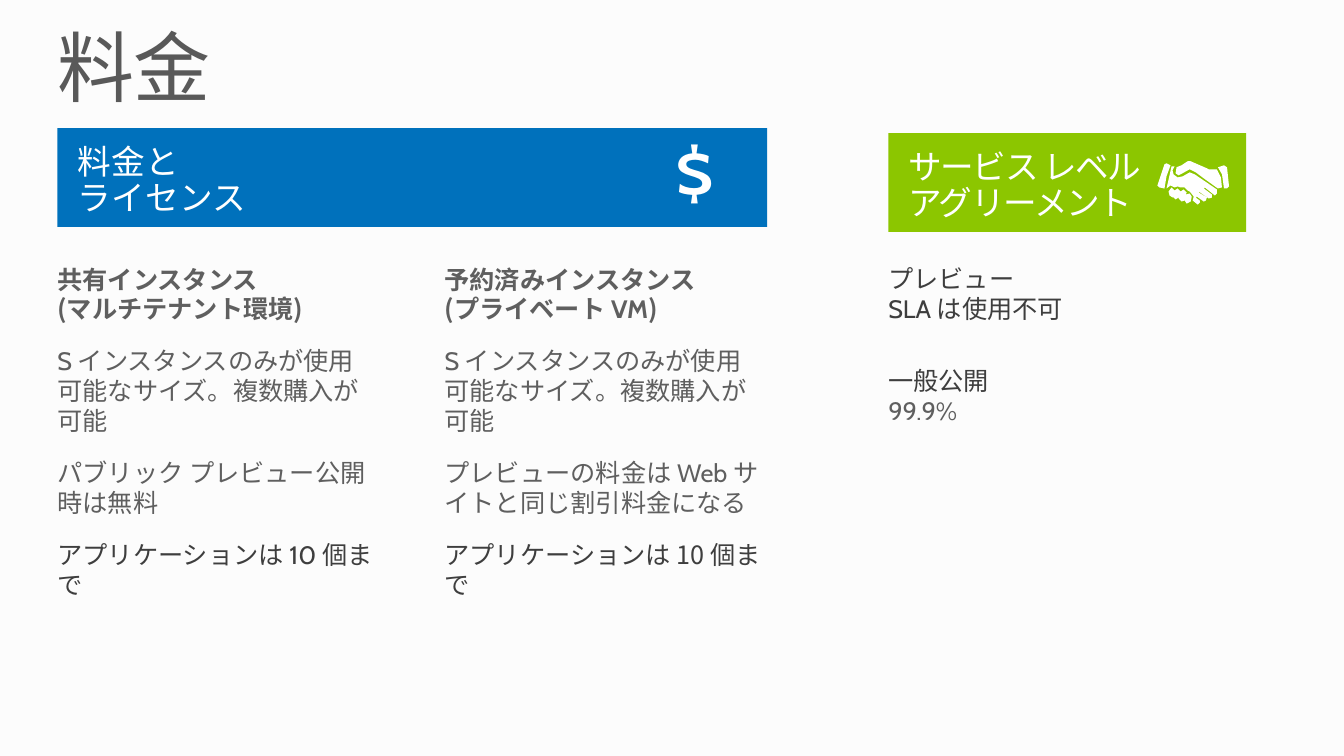
"""Build the pricing and service level slide."""
from dataclasses import dataclass

from lxml import etree
from pptx import Presentation
from pptx.dml.color import RGBColor
from pptx.enum.shapes import MSO_SHAPE
from pptx.enum.text import MSO_ANCHOR, PP_ALIGN
from pptx.oxml.ns import qn
from pptx.util import Emu, Pt

RECTANGLE = MSO_SHAPE.RECTANGLE
LEFT, CENTER = PP_ALIGN.LEFT, PP_ALIGN.CENTER
TOP, BOTTOM = MSO_ANCHOR.TOP, MSO_ANCHOR.BOTTOM
PX = 9144
LATIN, JAPANESE = "Cabin", "Noto Sans CJK JP"
COLORS = {
    "page": "FCFCFC", "title": "595959", "blue": "0071BC", "green": "8CC600",
    "white": "FFFFFF", "dark": "3E3E3E", "grey": "5F5F5F",
}


@dataclass(frozen=True)
class Piece:
    text: str
    color: str = "grey"
    font: str = JAPANESE
    bold: bool = False
    size: int = 18
    tracking: float = 0


@dataclass(frozen=True)
class Para:
    pieces: tuple[Piece, ...]
    before: float = 3.6
    after: float = 12
    leading: float | Pt = Pt(21.4)
    align: int = LEFT


@dataclass(frozen=True)
class Block:
    box: tuple[int, int, int, int]
    paras: tuple[Para, ...]


@dataclass(frozen=True)
class Banner:
    box: tuple[int, int, int, int]
    fill: str
    label: str
    tracking: float


SIZES = Para((Piece("S ", font=LATIN),
              Piece("インスタンスのみが使用可能なサイズ。複数購入が可能")))

BANNERS = (
    Banner((57, 127, 704, 98), "blue", "料金と\nライセンス", 0.3),
    Banner((881, 132, 355, 98), "green", "サービス レベル\nアグリーメント", -1),
)

BLOCKS = (
    Block((57, 25, 1219, 83), (
        Para((Piece("料金", "title", size=55, tracking=-1),), after=0, leading=Pt(62)),
    )),
    Block((669, 135, 41, 82), (
        Para((Piece("$", "white", LATIN, size=54),), after=0, leading=0.9, align=CENTER),
    )),
    Block((881, 262, 355, 163), (
        Para((Piece("プレビュー\n", "dark"), Piece("SLA ", "dark", LATIN),
              Piece("は使用不可", "dark"))),
        Para((Piece("一般公開\n", "dark"), Piece("99.9%", font=LATIN)), before=18),
    )),
    Block((57, 262, 314, 341), (
        Para((Piece("共有インスタンス\n(マルチテナント環境)", bold=True),)),
        SIZES,
        Para((Piece("パブリック プレビュー公開時は無料"),)),
        Para((Piece("アプリケーションは", "dark"), Piece(" 10 ", "dark", LATIN),
              Piece("個まで", "dark"))),
    )),
    Block((441, 262, 314, 341), (
        Para((Piece("予約済みインスタンス\n(プライベート ", bold=True),
              Piece("VM", font=LATIN, bold=True), Piece(")", bold=True))),
        SIZES,
        Para((Piece("プレビューの料金は"), Piece(" Web ", font=LATIN),
              Piece("サイトと同じ割引料金になる"))),
        Para((Piece("アプリケーションは 10 個まで", "dark"),)),
    )),
)

HANDSHAKE = (
    ((1207, 188), (1185, 173), (1180, 171), (1173, 175), (1168, 176), (1164, 173),
     (1163, 169), (1165, 165), (1162, 165), (1157, 187), (1161, 184), (1165, 186),
     (1168, 185), (1171, 186), (1175, 186), (1178, 189), (1180, 190), (1184, 195),
     (1183, 199), (1188, 203), (1190, 201), (1190, 199), (1186, 196), (1187, 195),
     (1194, 200), (1196, 199), (1197, 196), (1189, 191), (1189, 190), (1199, 197),
     (1202, 196), (1202, 193), (1194, 187), (1195, 186), (1205, 194), (1207, 192)),
    ((1199, 168), (1197, 167), (1181, 160), (1178, 160), (1172, 164), (1167, 166),
     (1166, 172), (1169, 174), (1171, 173), (1180, 168), (1186, 171), (1194, 177),
     (1208, 187), (1212, 186), (1211, 176), (1207, 168)),
    ((1180, 192), (1176, 193), (1177, 191), (1174, 188), (1171, 190), (1168, 187),
     (1165, 189), (1162, 186), (1159, 190), (1160, 194), (1163, 196), (1164, 196),
     (1166, 198), (1169, 196), (1169, 197), (1172, 200), (1175, 199), (1177, 202),
     (1181, 200), (1182, 195)),
    ((1219, 185), (1217, 166), (1214, 164), (1208, 166), (1212, 173), (1214, 187),
     (1217, 187)),
    ((1161, 164), (1157, 162), (1155, 163), (1148, 184), (1150, 186), (1155, 187),
     (1157, 175)),
)


def rgb(name: str) -> RGBColor:
    return RGBColor.from_string(COLORS[name])


def paint(shape, fill: str) -> None:
    shape.shadow.inherit = False
    shape.fill.solid()
    shape.fill.fore_color.rgb = rgb(fill)
    shape.line.fill.background()


def add_piece(paragraph, piece: Piece) -> None:
    for index, line in enumerate(piece.text.split("\n")):
        if index:
            paragraph.add_line_break()
        if not line:
            continue
        run = paragraph.add_run()
        run.text = line
        run.font.size = Pt(piece.size)
        run.font.bold = piece.bold
        run.font.color.rgb = rgb(piece.color)
        run.font.name = piece.font
        properties = run.font._element
        etree.SubElement(properties, qn("a:ea")).set("typeface", JAPANESE)
        if piece.tracking:
            properties.set("spc", str(round(piece.tracking * 100)))


def write(frame, paras: tuple[Para, ...], margins: tuple[int, int, int, int],
          anchor: int) -> None:
    frame.word_wrap = True
    frame.vertical_anchor = anchor
    (frame.margin_left, frame.margin_top,
     frame.margin_right, frame.margin_bottom) = (Emu(side * PX) for side in margins)
    for index, para in enumerate(paras):
        paragraph = frame.add_paragraph() if index else frame.paragraphs[0]
        paragraph.alignment = para.align
        paragraph.line_spacing = para.leading
        paragraph.space_before = Pt(para.before if index else 0)
        paragraph.space_after = Pt(para.after)
        for piece in para.pieces:
            add_piece(paragraph, piece)


def add_banner(slide, banner: Banner) -> None:
    bar = slide.shapes.add_shape(RECTANGLE, *(Emu(side * PX) for side in banner.box))
    paint(bar, banner.fill)
    label = Piece(banner.label, "white", size=24, tracking=banner.tracking)
    write(bar.text_frame, (Para((label,), after=0, leading=Pt(25.7)),),
          (20, 10, 10, 10), BOTTOM)


def add_block(slide, block: Block) -> None:
    box = slide.shapes.add_textbox(*(Emu(side * PX) for side in block.box))
    write(box.text_frame, block.paras, (0, 0, 0, 0), TOP)


def add_outline(slide, points: tuple[tuple[int, int], ...]) -> None:
    builder = slide.shapes.build_freeform(*points[0], scale=PX)
    builder.add_line_segments(points[1:], close=True)
    paint(builder.convert_to_shape(), "white")


def main() -> None:
    deck = Presentation()
    deck.slide_width, deck.slide_height = Emu(1333 * PX), Emu(750 * PX)
    slide = deck.slides.add_slide(deck.slide_layouts[6])
    slide.background.fill.solid()
    slide.background.fill.fore_color.rgb = rgb("page")
    for banner in BANNERS:
        add_banner(slide, banner)
    for outline in HANDSHAKE:
        add_outline(slide, outline)
    for block in BLOCKS:
        add_block(slide, block)
    deck.save("out.pptx")


if __name__ == "__main__":
    main()
